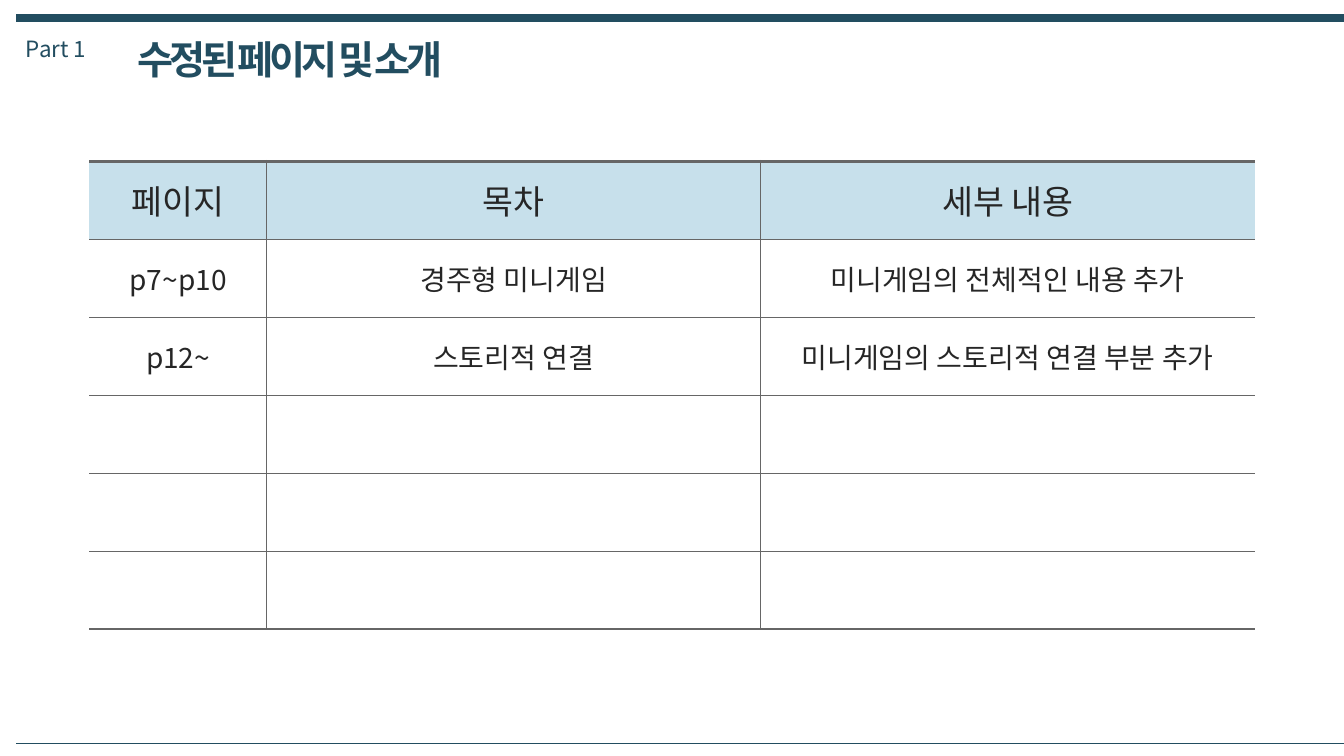
import pptx
import pptx.util
import pptx.dml.color
import pptx.enum.text
import pptx.oxml
import pptx.oxml.ns
from lxml import etree

Pt = pptx.util.Pt
RGBColor = pptx.dml.color.RGBColor
qn = pptx.oxml.ns.qn

# Content
PART = "Part 1"
HEADING = "수정된 페이지 및 소개"
CHANGES = [
    ("페이지", "목차", "세부 내용"),
    ("p7~p10", "경주형 미니게임", "미니게임의 전체적인 내용 추가"),
    ("p12~", "스토리적 연결", "미니게임의 스토리적 연결 부분 추가"),
    ("", "", ""),
    ("", "", ""),
    ("", "", ""),
]

# Style
FONT = "Noto Sans CJK KR"
TEAL = RGBColor(0x22, 0x4D, 0x60)
PALE_BLUE = RGBColor(0xC7, 0xE0, 0xEB)
WHITE = RGBColor(0xFF, 0xFF, 0xFF)
INK = RGBColor(0x26, 0x26, 0x26)
GREY = RGBColor(0x66, 0x66, 0x66)
THIN, THICK = 0.75, 2.25

# Layout, in points
SLIDE_W, SLIDE_H = 960, 540
RULE_LEFT, RULE_RIGHT = 11.5, 961.2
RULES = [(13, 6), (530.8, 0.25)]  # height on slide, line width
TABLE_LEFT, TABLE_TOP = 63.9, 115.2
COLUMN_WIDTHS = [126.7, 352.8, 352.8]
ROW_HEIGHT = 55.7


def add_run(paragraph, words, size, color, bold=False, spacing=None):
    run = paragraph.add_run()
    run.text = words
    run.font.size = Pt(size)
    run.font.name = FONT
    run.font.bold = bold
    run.font.color.rgb = color
    props = run.font._element
    etree.SubElement(props, qn("a:ea")).set("typeface", FONT)
    if spacing is not None:
        props.set("spc", str(spacing * 100))


def add_label(slide, box, words, size, **style):
    label = slide.shapes.add_textbox(*map(Pt, box))
    frame = label.text_frame
    frame.word_wrap = False
    frame.auto_size = pptx.enum.text.MSO_AUTO_SIZE.SHAPE_TO_FIT_TEXT
    add_run(frame.paragraphs[0], words, size, TEAL, **style)


def add_rule(slide, y, width):
    rule = slide.shapes.add_connector(
        pptx.enum.shapes.MSO_CONNECTOR.STRAIGHT,
        Pt(RULE_LEFT), Pt(y), Pt(RULE_RIGHT), Pt(y))
    rule.line.color.rgb = TEAL
    rule.line.width = Pt(width)
    etree.SubElement(rule._element.spPr, qn("a:effectLst"))


def set_border(cell, side, width):
    """Draw one side of a cell; a width of 0 leaves it open."""
    edge = etree.SubElement(cell._tc.get_or_add_tcPr(), qn("a:ln" + side))
    edge.set("w", str(int(Pt(width))))
    if width:
        fill = etree.SubElement(edge, qn("a:solidFill"))
        etree.SubElement(fill, qn("a:srgbClr")).set("val", str(GREY))
    else:
        etree.SubElement(edge, qn("a:noFill"))


def add_changes_table(slide):
    last_row, last_column = len(CHANGES) - 1, len(COLUMN_WIDTHS) - 1
    table = slide.shapes.add_table(
        len(CHANGES), len(COLUMN_WIDTHS), Pt(TABLE_LEFT), Pt(TABLE_TOP),
        Pt(sum(COLUMN_WIDTHS)), Pt(ROW_HEIGHT * len(CHANGES))).table
    table.horz_banding = False
    for column, width in zip(table.columns, COLUMN_WIDTHS):
        column.width = Pt(width)
    for r, row in enumerate(CHANGES):
        table.rows[r].height = Pt(ROW_HEIGHT)
        for c, words in enumerate(row):
            cell = table.cell(r, c)
            # Open at the left and right, thick at top and bottom
            set_border(cell, "L", THIN if c > 0 else 0)
            set_border(cell, "R", THIN if c < last_column else 0)
            set_border(cell, "T", THIN if r > 0 else THICK)
            set_border(cell, "B", THIN if r < last_row else THICK)
            cell.fill.solid()
            cell.fill.fore_color.rgb = WHITE if r else PALE_BLUE
            cell.vertical_anchor = pptx.enum.text.MSO_ANCHOR.MIDDLE
            paragraph = cell.text_frame.paragraphs[0]
            paragraph.alignment = pptx.enum.text.PP_ALIGN.CENTER
            if words:
                add_run(paragraph, words, 20 if r else 24, INK)


def main():
    deck = pptx.Presentation()
    deck.slide_width, deck.slide_height = Pt(SLIDE_W), Pt(SLIDE_H)
    slide = deck.slides.add_slide(deck.slide_layouts[6])

    # Rules across the top and bottom
    for y, width in RULES:
        add_rule(slide, y, width)

    # Heading
    add_label(slide, (11.5, 21.6, 57.6, 26.6), PART, 16)
    add_label(slide, (91.4, 21.6, 247.7, 41), HEADING, 28, bold=True, spacing=-3)

    # Table of changes
    add_changes_table(slide)

    deck.save("out.pptx")


if __name__ == "__main__":
    main()
